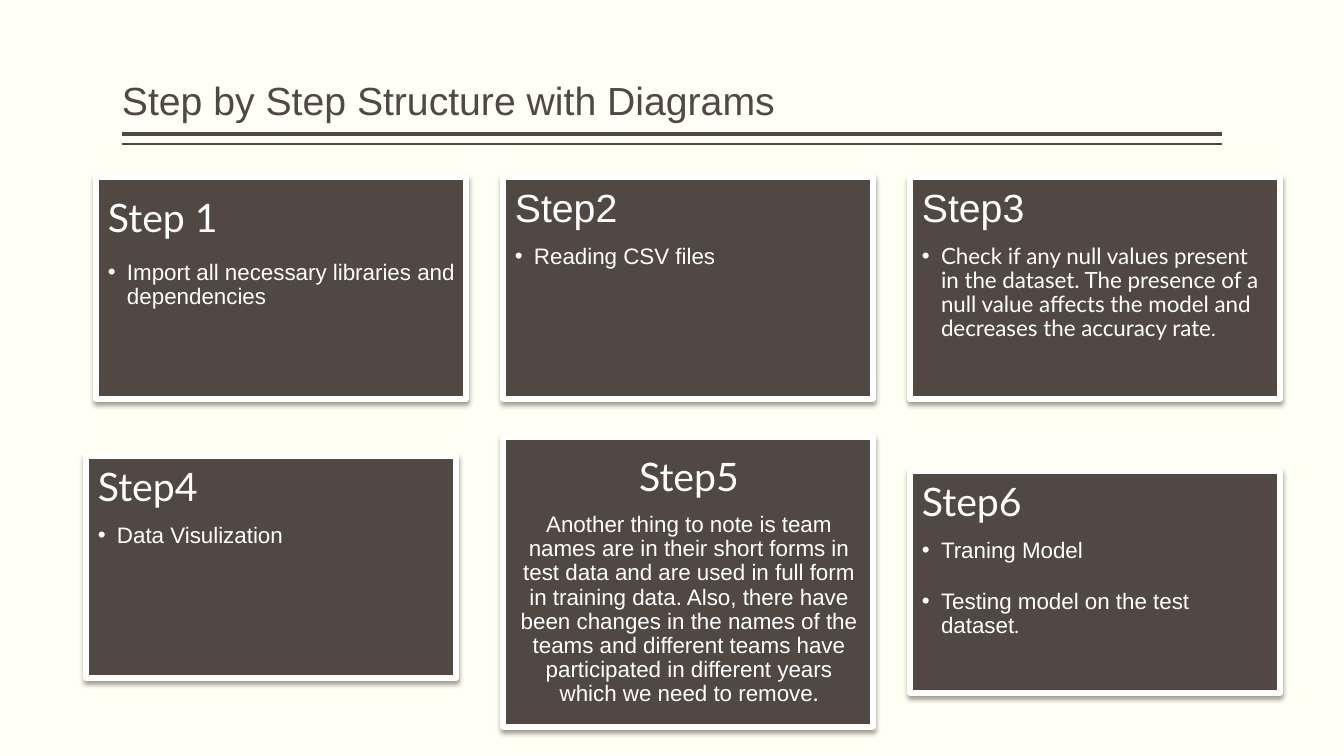
"""Build a slide with six step cards under a double-ruled title."""
from lxml import etree
from pptx import Presentation
from pptx import util as u
from pptx.dml.color import RGBColor
from pptx.enum import shapes, text
from pptx.oxml import parse_xml
from pptx.oxml.ns import nsdecls, qn

PX = 914400 / 100.8
COLORS = {"background": "FFFFF3", "brown": "514843", "white": "FFFFFF", "shadow": "000000"}


def px(*lengths):
    return [round(length * PX) for length in lengths]


def write(paragraph, *runs, color="white", align="LEFT", after=0, bullet=False):
    """Fill a paragraph with (words, size, font) runs."""
    paragraph.alignment = text.PP_ALIGN[align]
    paragraph.line_spacing = 0.9
    paragraph.space_before = u.Pt(0)
    paragraph.space_after = u.Pt(after)
    if bullet:
        properties = paragraph._p.get_or_add_pPr()
        indent = px(19)[0]
        properties.set("marL", str(indent))
        properties.set("indent", str(-indent))
        etree.SubElement(properties, qn("a:buFont")).set("typeface", "Arial")
        etree.SubElement(properties, qn("a:buChar")).set("char", "•")
    for words, size, font in runs:
        run = paragraph.add_run()
        run.text = words
        run.font.size = u.Pt(size)
        run.font.name = font
        run.font.color.rgb = RGBColor.from_string(COLORS[color])


presentation = Presentation()
presentation.slide_width, presentation.slide_height = px(1344, 756)
slide = presentation.slides.add_slide(presentation.slide_layouts[5])
slide.background.fill.solid()
slide.background.fill.fore_color.rgb = RGBColor.from_string(COLORS["background"])

for rule_y, weight in [(134, 3), (144, 1)]:
    rule = slide.shapes.add_connector(
        shapes.MSO_CONNECTOR.STRAIGHT, *px(122, rule_y, 1222, rule_y))
    rule.line.color.rgb = RGBColor.from_string(COLORS["brown"])
    rule.line.width = u.Pt(weight)
    etree.SubElement(rule._element.spPr, qn("a:effectLst"))

title = slide.shapes.title
title.left, title.top, title.width, title.height = px(122, 8, 1100, 121)
frame = title.text_frame
frame.auto_size = text.MSO_AUTO_SIZE.NONE
frame.word_wrap = True
frame.vertical_anchor = text.MSO_ANCHOR.BOTTOM
frame.margin_left = frame.margin_right = 0
frame.margin_top = frame.margin_bottom = px(5)[0]
write(frame.paragraphs[0], ("Step by Step Structure with Diagrams", 28, "Arial"), color="brown")

CARD_WIDTH, CARD_HEIGHT, TALL_HEIGHT = 370, 222, 290
COLUMNS = [96 + 407 * column for column in range(3)]
TOP_ROW = 177
cards = [
    (COLUMNS[0], TOP_ROW, CARD_HEIGHT, [("Step 1", 28, "Lato"), (" ", 36, "Lato")],
     [[("Import all necessary libraries and dependencies", 16, "Arial")]]),
    (COLUMNS[1], TOP_ROW, CARD_HEIGHT, [("Step2", 28, "Arial")],
     [[("Reading CSV files", 16, "Arial")]]),
    (COLUMNS[2], TOP_ROW, CARD_HEIGHT, [("Step3", 28, "Arial")],
     [[("Check if any null values present in the dataset. The presence of a null value "
        "affects the model and decreases the accuracy rate", 16, "Lato"), (".", 14, "Lato")]]),
    (86, 456, CARD_HEIGHT, [("Step4", 28, "Lato")],
     [[("Data Visulization", 16, "Arial")]]),
    (COLUMNS[1], 437, TALL_HEIGHT, [("Step5", 28, "Lato")],
     [[("Another thing to note is team names are in their short forms in test data and are "
        "used in full form in training data. Also, there have been changes in the names of "
        "the teams and different teams have participated in different years which we need "
        "to remove", 16, "Arial"), (".", 16, "Lato")]]),
    (COLUMNS[2], 471, CARD_HEIGHT, [("Step6", 28, "Lato")],
     [[("Traning Model", 16, "Arial")],
      [("Testing model on the test dataset", 16, "Arial"), (".", 14, "Lato")]]),
]

for left, top, height, heading, items in cards:
    card = slide.shapes.add_shape(
        shapes.MSO_SHAPE.RECTANGLE, *px(left, top, CARD_WIDTH, height))
    card.fill.solid()
    card.fill.fore_color.rgb = RGBColor.from_string(COLORS["brown"])
    card.line.color.rgb = RGBColor.from_string(COLORS["white"])
    card.line.width = u.Pt(3.82)
    card._element.spPr.append(parse_xml(
        f'<a:effectLst {nsdecls("a")}><a:outerShdw blurRad="{u.Pt(3.5)}" dist="{u.Pt(2)}" '
        f'dir="5400000" rotWithShape="0"><a:srgbClr val="{COLORS["shadow"]}">'
        '<a:alpha val="38000"/></a:srgbClr></a:outerShdw></a:effectLst>'))

    centred = height == TALL_HEIGHT
    align = "CENTER" if centred else "LEFT"
    frame = card.text_frame
    frame.word_wrap = True
    frame.vertical_anchor = text.MSO_ANCHOR.MIDDLE if centred else text.MSO_ANCHOR.TOP
    frame.margin_left = frame.margin_top = frame.margin_bottom = px(12)[0]
    frame.margin_right = px(10)[0]
    largest = max(size for _, size, _ in heading)
    write(frame.paragraphs[0], *heading, align=align, after=0.35 * largest)
    item_gap = 5.6 if centred else 19.5 if len(items) > 1 else 2.4
    for item in items:
        write(frame.add_paragraph(), *item, align=align, after=item_gap, bullet=not centred)

presentation.save("out.pptx")
